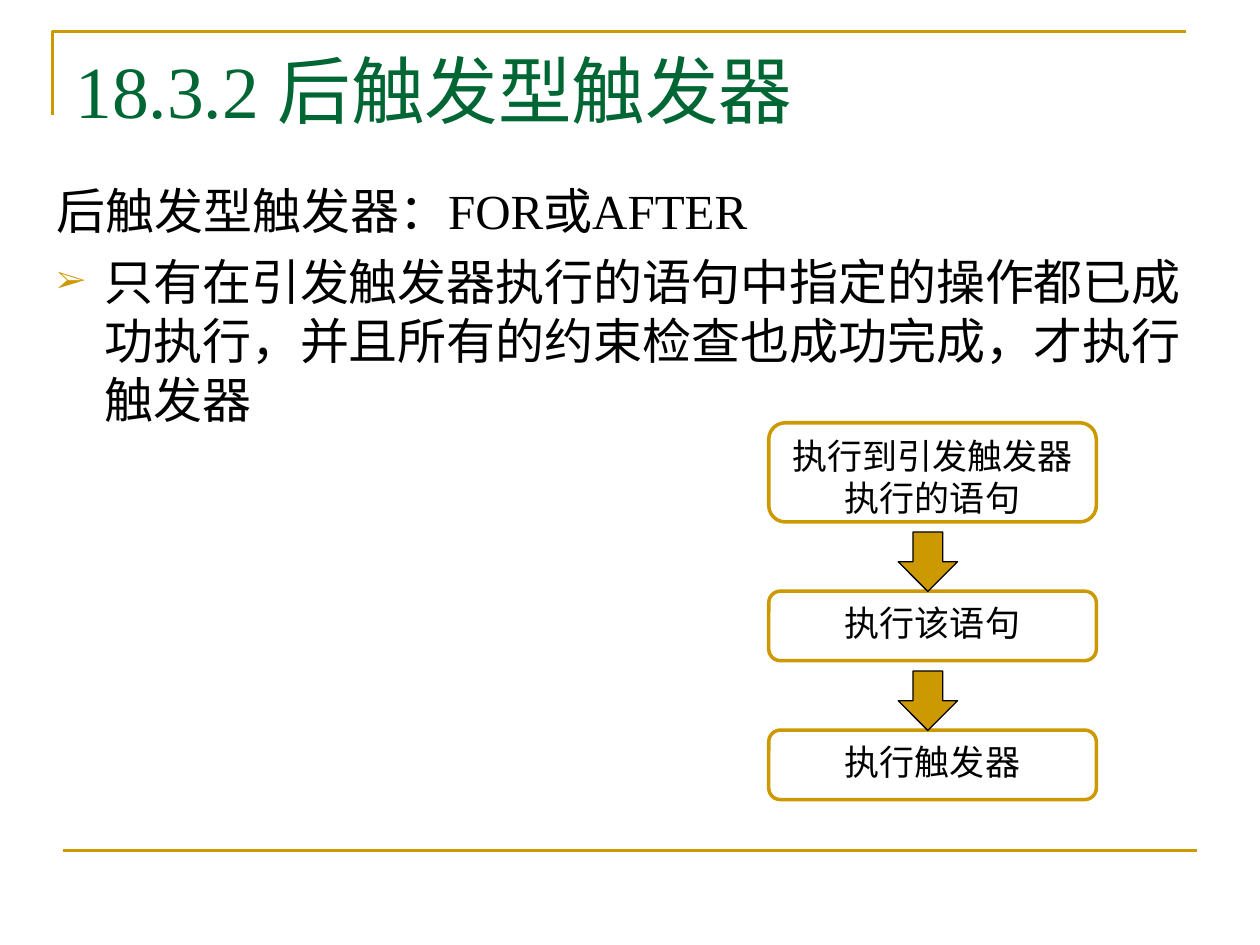
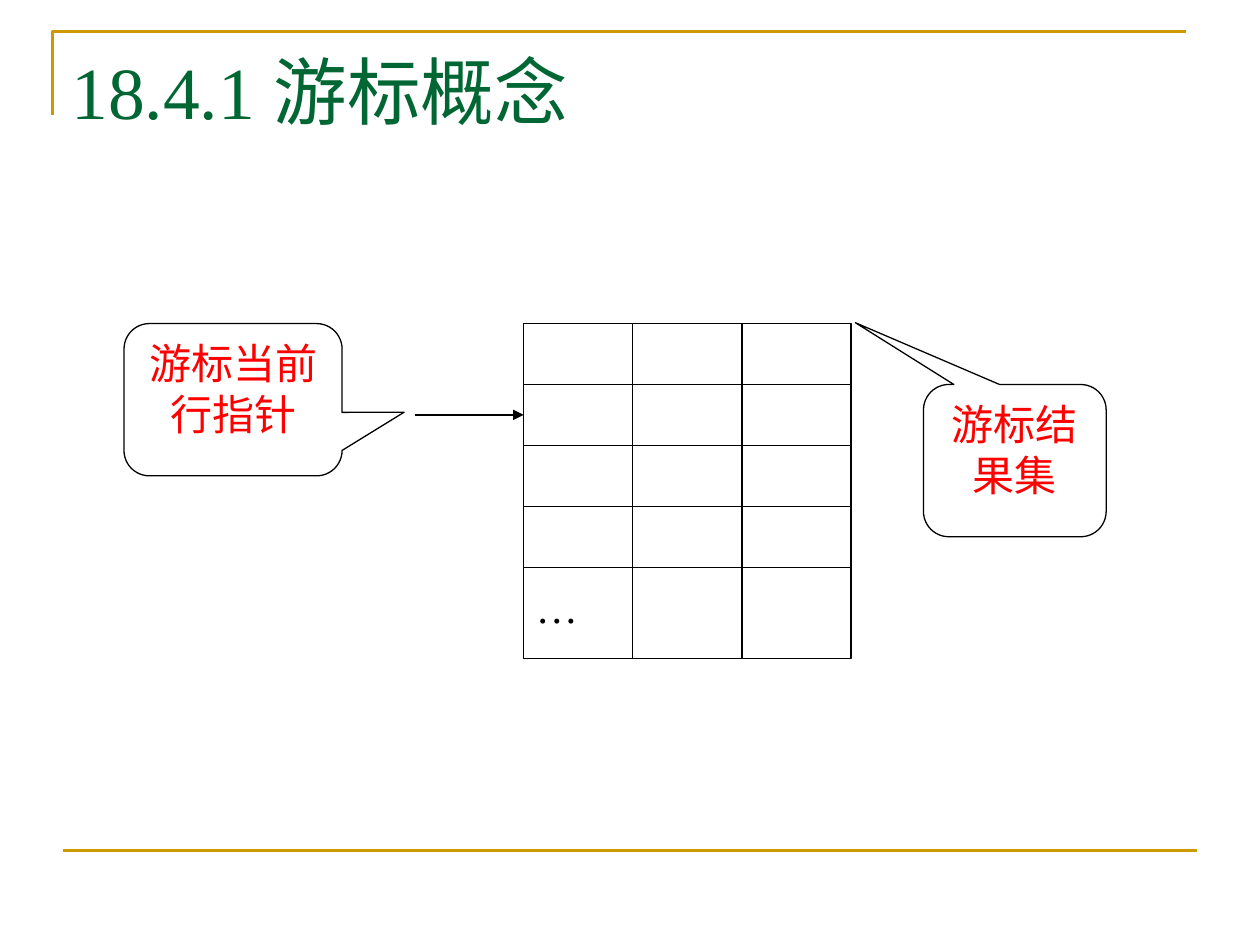
from lxml import etree
from pptx import Presentation
from pptx.dml.color import RGBColor
from pptx.enum.shapes import MSO_CONNECTOR, MSO_SHAPE
from pptx.enum.text import MSO_ANCHOR, PP_ALIGN
from pptx.oxml.ns import qn
from pptx.util import Pt

STRAIGHT = MSO_CONNECTOR.STRAIGHT
RECTANGLE = MSO_SHAPE.RECTANGLE
ROUNDED = MSO_SHAPE.ROUNDED_RECTANGLE
DOWN_ARROW = MSO_SHAPE.DOWN_ARROW
CALLOUT = MSO_SHAPE.ROUNDED_RECTANGULAR_CALLOUT
LEFT, CENTER, JUSTIFY = PP_ALIGN.LEFT, PP_ALIGN.CENTER, PP_ALIGN.JUSTIFY
TOP, BOTTOM = MSO_ANCHOR.TOP, MSO_ANCHOR.BOTTOM

FONT = "Times New Roman"
GOLD, GREEN, RED = "CC9900", "006633", "FF0000"
BLACK, WHITE = "000000", "FFFFFF"


def color(value):
    """Turn a hex string into a colour."""
    return RGBColor.from_string(value)


def set_line(line, value, width):
    """Set the colour and width of a line."""
    line.color.rgb = color(value)
    line.width = Pt(width)


def format_text(frame, size, value, align=LEFT, anchor=TOP):
    """Set wrapping, anchor, alignment and font of a text frame."""
    frame.word_wrap = True
    frame.vertical_anchor = anchor
    for para in frame.paragraphs:
        para.alignment = align
        for span in para.runs:
            span.font.name = FONT
            span.font.size = Pt(size)
            span.font.color.rgb = color(value)


def add_text(page, text, left, top, width, height, size, value):
    """Add a text box and return its text frame."""
    box = page.shapes.add_textbox(Pt(left), Pt(top), Pt(width), Pt(height))
    box.text_frame.text = text
    format_text(box.text_frame, size, value)
    return box.text_frame


def add_shape(page, kind, left, top, width, height, fill, line, weight=0.75):
    """Add a filled preset shape without shadow."""
    shape = page.shapes.add_shape(kind, Pt(left), Pt(top), Pt(width), Pt(height))
    shape.shadow.inherit = False
    shape.fill.solid()
    shape.fill.fore_color.rgb = color(fill)
    set_line(shape.line, line, weight)
    return shape


def add_line(page, start, end, value=BLACK, weight=0.75):
    """Add a straight line without shadow."""
    line = page.shapes.add_connector(STRAIGHT, *map(Pt, start + end))
    set_line(line.line, value, weight)
    etree.SubElement(line._element.spPr, qn("a:effectLst"))
    return line


def add_arrow(page, start, end):
    """Add a thin black line with a triangle at its end."""
    arrow = add_line(page, start, end)
    etree.SubElement(arrow.line._get_or_add_ln(), qn("a:tailEnd"), type="triangle")


def add_page(deck, title, left, top, width, height):
    """Add a blank page with the gold frame lines and a title."""
    page = deck.slides.add_slide(deck.slide_layouts[6])
    builder = page.shapes.build_freeform(Pt(30), Pt(66))
    builder.add_line_segments([(Pt(30), Pt(18)), (Pt(678), Pt(18))], close=False)
    corner = builder.convert_to_shape()
    corner.shadow.inherit = False
    corner.fill.background()
    set_line(corner.line, GOLD, 1.5)
    add_line(page, (36, 486), (684, 486), GOLD, 1.5)
    add_text(page, title, left, top, width, height, 42, GREEN)
    return page


def set_hanging(para, bullet=None):
    """Give a paragraph a hanging indent and, if wanted, a gold bullet."""
    properties = para._p.get_or_add_pPr()
    properties.set("marL", str(Pt(27.2)))
    properties.set("indent", str(-Pt(27.2)))
    if bullet:
        tint = etree.SubElement(properties, qn("a:buClr"))
        etree.SubElement(tint, qn("a:srgbClr"), val=GOLD)
        etree.SubElement(properties, qn("a:buSzPct"), val="65000")
        etree.SubElement(properties, qn("a:buFont"), typeface=FONT)
        etree.SubElement(properties, qn("a:buChar"), char=bullet)
        para.space_before = Pt(7)


def add_step(page, text, top, height):
    """Add one rounded step of the flow."""
    step = add_shape(page, ROUNDED, 439.3, top, 187.2, height, WHITE, GOLD, 2)
    step.text_frame.text = text
    step.text_frame.margin_top = Pt(4.2)
    format_text(step.text_frame, 20, BLACK, CENTER)


def add_callout(page, text, left, top, width, pointer):
    """Add a speech bubble whose tip lies at the pointer ratios."""
    bubble = add_shape(page, CALLOUT, left, top, width, 87, WHITE, BLACK)
    bubble.adjustments[0], bubble.adjustments[1] = pointer
    bubble.text_frame.text = text
    bubble.text_frame.margin_top = Pt(4)
    format_text(bubble.text_frame, 24, RED, CENTER)


def add_result_set(page, left, top, column_width, row_height):
    """Draw the ruled result set, three columns by five rows."""
    width, height = 3 * column_width, 5.5 * row_height
    sheet = add_shape(page, RECTANGLE, left, top, width, height, WHITE, BLACK)
    sheet.text_frame.text = "…"
    sheet.text_frame.margin_bottom = Pt(15)
    format_text(sheet.text_frame, 24, BLACK, JUSTIFY, BOTTOM)
    for row in range(1, 5):
        y = top + row * row_height
        add_line(page, (left, y), (left + width, y))
    for column in range(1, 3):
        x = left + column * column_width
        add_line(page, (x, top), (x, top + height))


def build_after_trigger(deck):
    """Build the page on triggers that fire afterwards."""
    page = add_page(deck, "18.3.2 后触发型触发器", 36, 22.2, 648, 90)
    frame = add_text(
        page,
        "后触发型触发器：FOR或AFTER\n"
        "只有在引发触发器执行的语句中指定的操作都已成功执行，"
        "并且所有的约束检查也成功完成，才执行触发器",
        25.3, 99.7, 670.3, 187.2, 28, BLACK)
    heading, rule = frame.paragraphs
    set_hanging(heading)
    set_hanging(rule, "➢")
    add_step(page, "执行到引发触发器执行的语句", 241.6, 56.7)
    for index, text in enumerate(("执行该语句", "执行触发器")):
        top = 337.8 + 79.4 * index
        add_step(page, text, top, 39.7)
        add_shape(page, DOWN_ARROW, 513.2, top - 33.8, 34, 34, GOLD, BLACK)


def build_cursor_concept(deck):
    """Build the page on the cursor and its result set."""
    page = add_page(deck, "18.4.1 游标概念", 33.8, 22.7, 672.5, 59.8)
    left, top, row_height = 299.2, 184.9, 34.8
    add_result_set(page, left, top, 62.4, row_height)
    current_row = top + 1.5 * row_height
    add_arrow(page, (237, current_row), (left, current_row))
    add_callout(page, "游标当前行指针", 70.9, top, 124.6, (0.785, 0.082))
    add_callout(page, "游标结果集", 527.7, top + row_height, 104.4,
                (-0.873, -0.906))


def main():
    """Build and save the deck."""
    deck = Presentation()
    deck.slide_width, deck.slide_height = Pt(720), Pt(540)
    build_after_trigger(deck)
    build_cursor_concept(deck)
    deck.save("out.pptx")


if __name__ == "__main__":
    main()
